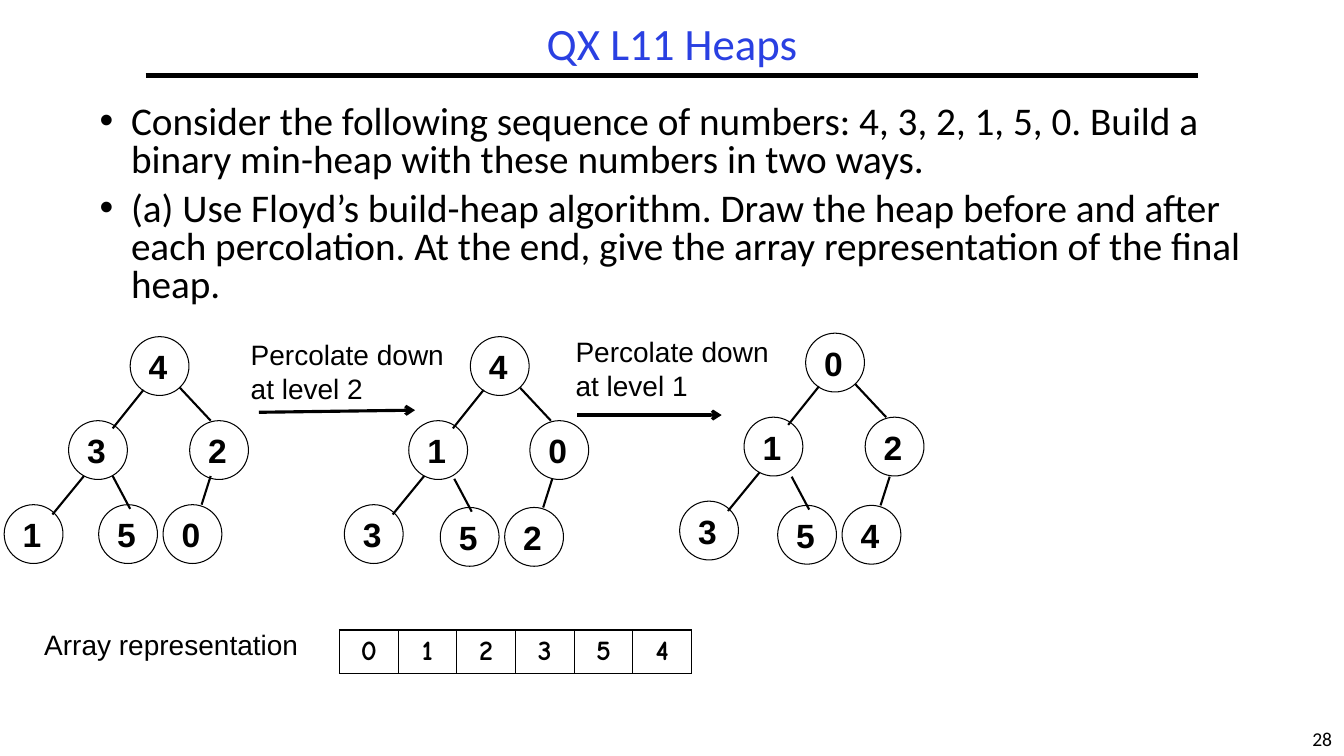
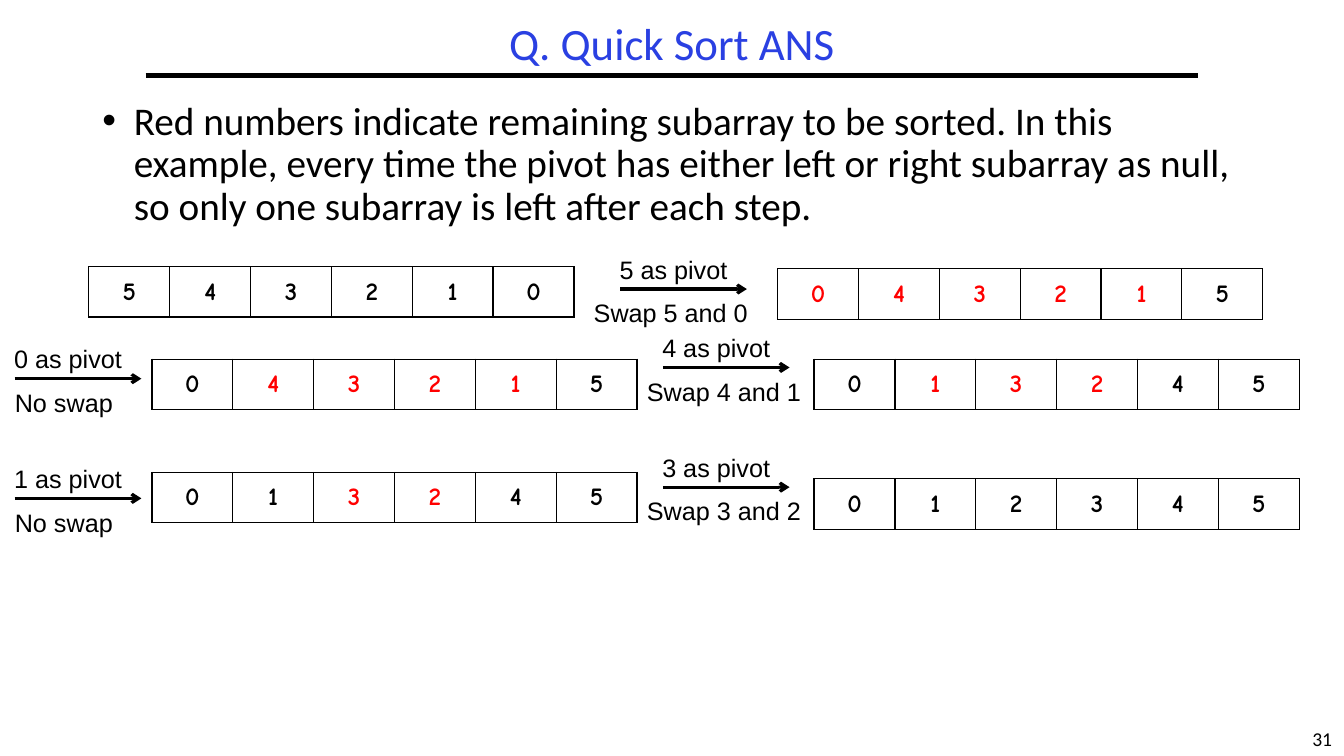
from dataclasses import dataclass

from lxml.etree import SubElement
from pptx import Presentation
from pptx.dml.color import RGBColor
from pptx.enum.shapes import MSO_CONNECTOR, MSO_SHAPE
from pptx.enum.text import MSO_ANCHOR, MSO_AUTO_SIZE, PP_ALIGN
from pptx.oxml.ns import qn
from pptx.util import Pt


@dataclass(frozen=True)
class Theme:
    ink: RGBColor = RGBColor(0, 0, 0)
    paper: RGBColor = RGBColor(255, 255, 255)
    title: RGBColor = RGBColor(0x2A, 0x40, 0xE2)
    unsorted: RGBColor = RGBColor(255, 0, 0)
    heading_font: str = "Calibri"
    label_font: str = "Arial"
    array_font: str = "Comic Neue"
    title_size: float = 32
    body_size: float = 28
    node_size: float = 24
    label_size: float = 20
    step_size: float = 18
    number_size: float = 14


THEME = Theme()
NODE = 42
# Each node: left and top in the tree, then the edge leading to it.
HEAP_LAYOUT = [
    ((90, 0), None),
    ((46, 60), (99.5, 38, 77.5, 65.5)),
    ((132.5, 60), (125.5, 36.5, 147.5, 60)),
    ((0, 120), (57, 99.5, 34.5, 127)),
    ((67.5, 120), (77.5, 99.5, 90, 123)),
    ((113.5, 120), (147.5, 99.5, 141, 120)),
]
SHIFTED_LEAVES = 4


def set_formats(target, formats):
    for name, value in formats.items():
        setattr(target, name, value)


def write(paragraph, text, font, size, color=THEME.ink, bold=False, **layout):
    set_formats(paragraph, layout)
    run = paragraph.add_run()
    run.text = text
    set_formats(run.font, {"name": font, "size": Pt(size), "bold": bold})
    run.font.color.rgb = color


def add_text_frame(slide, box, **formats):
    frame = slide.shapes.add_textbox(*map(Pt, box)).text_frame
    set_formats(frame, {"word_wrap": True, "auto_size": MSO_AUTO_SIZE.NONE, **formats})
    return frame


def add_paragraphs(frame, texts):
    """Yield a paragraph for each text, starting with the one the frame has."""
    for index, text in enumerate(texts):
        yield index, frame.add_paragraph() if index else frame.paragraphs[0], text


def add_label(slide, box, lines, size=THEME.label_size):
    frame = add_text_frame(slide, box, auto_size=MSO_AUTO_SIZE.SHAPE_TO_FIT_TEXT)
    for _, paragraph, line in add_paragraphs(frame, lines):
        write(paragraph, line, THEME.label_font, size)


def add_line(slide, ends, weight, arrow=False):
    connector = slide.shapes.add_connector(MSO_CONNECTOR.STRAIGHT, *map(Pt, ends))
    connector.line.width = Pt(weight)
    connector.line.color.rgb = THEME.ink
    properties = connector._element.spPr
    if arrow:
        SubElement(properties.find(qn("a:ln")), qn("a:tailEnd"), type="arrow")
    SubElement(properties, qn("a:effectLst"))


def add_page(deck, title, number):
    slide = deck.slides.add_slide(deck.slide_layouts[6])
    frame = add_text_frame(slide, (929, 516, 31, 24), word_wrap=False,
                           auto_size=MSO_AUTO_SIZE.SHAPE_TO_FIT_TEXT)
    write(frame.paragraphs[0], number, THEME.heading_font, THEME.number_size,
          alignment=PP_ALIGN.CENTER)
    add_line(slide, (104, 54, 856, 54), 3)
    frame = add_text_frame(slide, (104, 12, 752, 42), vertical_anchor=MSO_ANCHOR.MIDDLE)
    write(frame.paragraphs[0], title, THEME.heading_font, THEME.title_size, THEME.title,
          alignment=PP_ALIGN.CENTER, line_spacing=0.9)
    return slide


def add_bullets(slide, box, texts, line_spacing):
    frame = add_text_frame(slide, box)
    for index, paragraph, text in add_paragraphs(frame, texts):
        properties = paragraph._p.get_or_add_pPr()
        properties.set("marL", str(Pt(22.5)))
        properties.set("indent", str(-Pt(22.5)))
        SubElement(properties, qn("a:buFont"), typeface="Arial")
        SubElement(properties, qn("a:buChar"), char="•")
        write(paragraph, text, THEME.heading_font, THEME.body_size,
              line_spacing=line_spacing, space_before=Pt(8.4 if index else 0))


def add_cell_borders(cell):
    properties = cell._tc.get_or_add_tcPr()
    for position, side in enumerate(("lnL", "lnR", "lnT", "lnB")):
        border = SubElement(properties, qn(f"a:{side}"), w=str(Pt(1)))
        fill = SubElement(border, qn("a:solidFill"))
        SubElement(fill, qn("a:srgbClr"), val=str(THEME.ink))
        properties.insert(position, border)


def add_array(slide, box, values, size, unsorted=(), anchor=MSO_ANCHOR.MIDDLE):
    """Draw a one-row array; positions in unsorted are coloured."""
    table = slide.shapes.add_table(1, len(values), *map(Pt, box)).table
    set_formats(table, {"first_row": False, "horz_banding": False})
    for column in table.columns:
        column.width = Pt(box[2] / len(values))
    for index, value in enumerate(values):
        cell = table.cell(0, index)
        cell.vertical_anchor = anchor
        cell.fill.background()
        add_cell_borders(cell)
        color = THEME.unsorted if index in unsorted else THEME.ink
        write(cell.text_frame.paragraphs[0], value, THEME.array_font, size, color,
              bold=True, alignment=PP_ALIGN.CENTER)


def add_node(slide, left, top, key):
    node = slide.shapes.add_shape(MSO_SHAPE.OVAL, Pt(left), Pt(top), Pt(NODE), Pt(NODE))
    node.shadow.inherit = False
    node.fill.solid()
    node.fill.fore_color.rgb = THEME.paper
    node.line.color.rgb = THEME.ink
    node.line.width = Pt(0.75)
    set_formats(node.text_frame, {"word_wrap": False, "vertical_anchor": MSO_ANCHOR.MIDDLE})
    write(node.text_frame.paragraphs[0], key, THEME.label_font, THEME.node_size,
          bold=True, alignment=PP_ALIGN.LEFT)


def add_heap(slide, left, top, keys, leaf_shift):
    """Draw the heap in level order; leaf_shift moves the last two leaves."""
    edges = []
    for index, (key, ((x, y), edge)) in enumerate(zip(keys, HEAP_LAYOUT)):
        dx, dy = leaf_shift if index >= SHIFTED_LEAVES else (0, 0)
        origin = (left + dx, top + dy)
        add_node(slide, origin[0] + x, origin[1] + y, key)
        if edge:
            edges.append([origin[i % 2] + end for i, end in enumerate(edge)])
    for edge in edges:
        add_line(slide, edge, 1.5)


def add_sort_step(slide, left, top, pivot, swap, swap_offset):
    add_label(slide, (left, top, 94, 29), [pivot], THEME.step_size)
    add_line(slide, (left + 7.5, top + 28.5, left + 98, top + 28.5), 2.25, arrow=True)
    add_label(slide, (left + swap_offset, top + 31, 135, 29), [swap], THEME.step_size)


def add_heap_slide(deck):
    slide = add_page(deck, "QX L11 Heaps", "28")
    add_bullets(slide, (64, 72, 832, 162), [
        "Consider the following sequence of numbers: 4, 3, 2, 1, 5, 0. "
        "Build a binary min-heap with these numbers in two ways.",
        "(a) Use Floyd’s build-heap algorithm. Draw the heap before and after each "
        "percolation. At the end, give the array representation of the final heap.",
    ], 0.8)
    for left, top, keys, leaf_shift in [
        (3, 240.5, "432150", (0, 0)),
        (246, 240.5, "410352", (1, 2)),
        (485.5, 238, "012354", (2.5, 3)),
    ]:
        add_heap(slide, left, top, keys, leaf_shift)
    for left, top, level, arrow in [
        (172, 237.5, "at level 2", (185, 294.5, 296.5, 293)),
        (404, 235.5, "at level 1", (412.5, 296.5, 515.5, 296.5)),
    ]:
        add_label(slide, (left, top, 156, 55), ["Percolate down", level])
        add_line(slide, arrow, 2.25, arrow=True)
    add_label(slide, (24.5, 445, 199, 32), ["Array representation"])
    add_array(slide, (242.5, 450, 251.4, 30), "012354", THEME.label_size,
              anchor=MSO_ANCHOR.TOP)


def add_quick_sort_slide(deck):
    slide = add_page(deck, "Q. Quick Sort ANS", "31")
    add_bullets(slide, (66, 69, 832, 104), [
        "Red numbers indicate remaining subarray to be sorted. In this example, every "
        "time the pivot has either left or right subarray as null, so only one subarray "
        "is left after each step.",
    ], 0.9)
    for left, top, values, unsorted in [
        (63.5, 190.5, "543210", ()),
        (555.5, 192, "043215", range(5)),
        (108.5, 256.5, "043215", range(1, 5)),
        (581.5, 256.5, "013245", range(1, 4)),
        (108.5, 337.5, "013245", range(2, 4)),
        (581.5, 342, "012345", ()),
    ]:
        add_array(slide, (left, top, 346.5, 36), values, THEME.step_size, unsorted)
    for step in [
        (435.5, 178, "5 as pivot", "Swap 5 and 0", -18.5),
        (3, 242, "0 as pivot", "No swap", 0.5),
        (466, 234, "4 as pivot", "Swap 4 and 1", -11),
        (3, 327.5, "1 as pivot", "No swap", 0.5),
        (466, 319.5, "3 as pivot", "Swap 3 and 2", -11),
    ]:
        add_sort_step(slide, *step)


def main():
    deck = Presentation()
    set_formats(deck, {"slide_width": Pt(960), "slide_height": Pt(540)})
    add_heap_slide(deck)
    add_quick_sort_slide(deck)
    deck.save("out.pptx")


if __name__ == "__main__":
    main()
